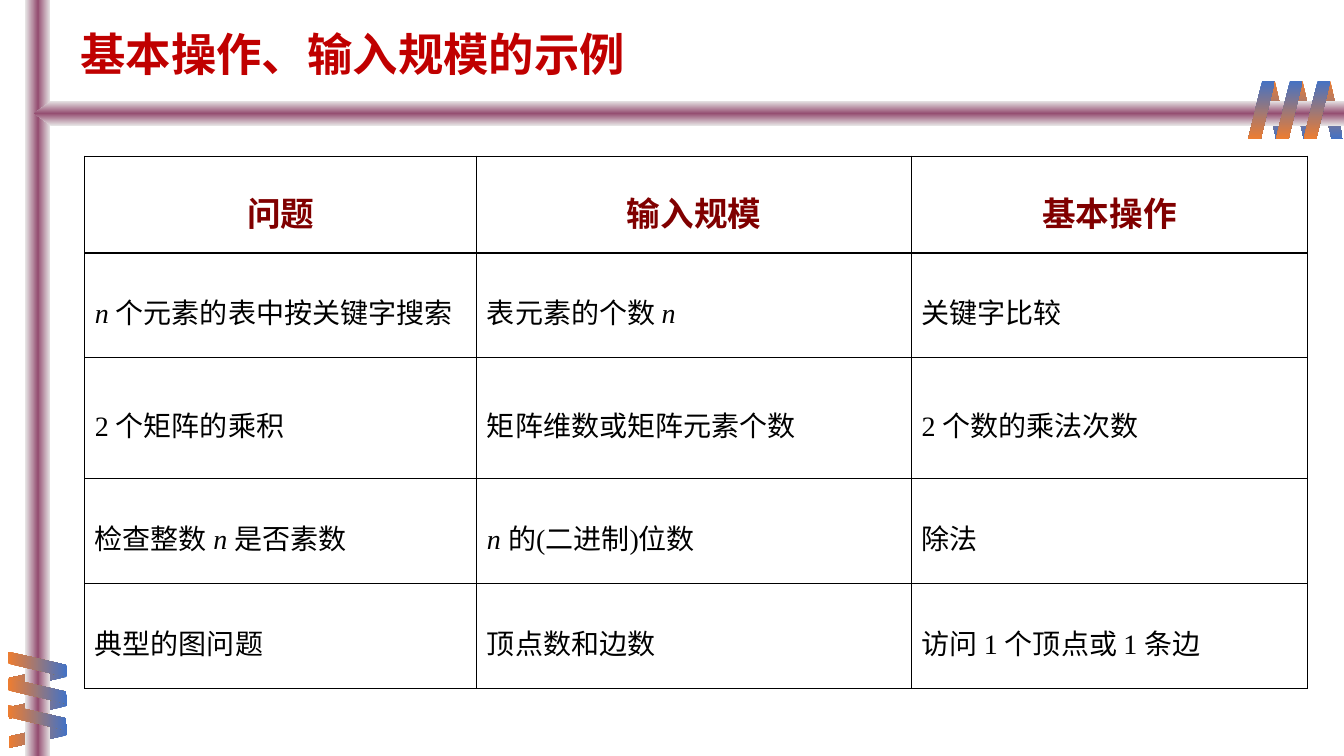
from dataclasses import dataclass

from lxml import etree
from pptx import Presentation
from pptx import util as u
from pptx.dml.color import RGBColor
from pptx.enum import shapes, text
from pptx.oxml import ns

COLORS = {
    "orange": "ED7D31", "blue": "4472C4", "gray": "E7E6E6", "plum": "954F72",
    "title": "C00000", "header": "800000", "body": "000000", "rule": "000000",
}
CJK, LATIN = "Noto Sans CJK SC", "Times New Roman"
GRID = 0.25  # side of a grid square in inches; the slide has 30 rows
COLUMNS, ROWS = 53.32, 30
SHAPE = shapes.MSO_SHAPE


@dataclass
class Bar:
    kind: int
    column: float
    row: float
    width: float
    height: float
    stops: tuple[str, ...]
    angle: int
    adjust: float | None = None
    rotation: int = 0
    flip: bool = False


@dataclass
class Ribbon:
    """Three slanted stripes at an equal pitch."""
    first: Bar
    column_step: float = 0
    row_step: float = 0


def slant(column, row, width, stops, angle, rotation=0, flip=False) -> Bar:
    return Bar(SHAPE.PARALLELOGRAM, column, row, width, 2.32, stops, angle,
               0.53, rotation, flip)


WARM, COOL = ("orange", "blue"), ("blue", "orange")
TUBE = ("gray", "plum", "gray")
BACK_RIBBONS = [
    Ribbon(slant(50.12, 3.2, 0.96, WARM, 90, 180, True), column_step=1.1),
    Ribbon(slant(1.02, 25.72, 0.96, COOL, 0, 90, True), row_step=1.16),
]
TUBES = [
    Bar(SHAPE.RECTANGLE, 1, 0, 1, ROWS, TUBE, 0),
    Bar(SHAPE.PENTAGON, 1.36, 4, 51.96, 1, TUBE, 90, 0.68, flip=True),
]
FRONT_RIBBONS = [
    Ribbon(slant(0.98, 25.2, 1, WARM, 0, 270), row_step=1.06),
    Ribbon(slant(49.52, 3.2, 1.06, COOL, 90), column_step=1.1),
]

# Asterisks enclose italic text
TABLE_ROWS = [
    ("问题", "输入规模", "基本操作"),
    ("*n *个元素的表中按关键字搜索", "表元素的个数 *n*", "关键字比较"),
    ("2 个矩阵的乘积", "矩阵维数或矩阵元素个数", "2 个数的乘法次数"),
    ("检查整数 *n *是否素数", "*n *的(二进制)位数", "除法"),
    ("典型的图问题", "顶点数和边数", "访问 1 个顶点或 1 条边"),
]
TABLE_WIDTHS = (15.56, 17.24, 15.72)
TABLE_HEIGHTS = (3.84, 4.16, 4.8, 4.16, 4.16)


def grid(count: float) -> int:
    return u.Inches(count * GRID)


def add_node(parent, tag: str, **attributes: str):
    node = etree.SubElement(parent, ns.qn(tag))
    for name, value in attributes.items():
        node.set(name, value)
    return node


def draw_bar(page, bar: Bar, column_shift: float = 0, row_shift: float = 0) -> None:
    shape = page.shapes.add_shape(
        bar.kind, grid(bar.column + column_shift), grid(bar.row + row_shift),
        grid(bar.width), grid(bar.height))
    shape.shadow.inherit = False
    shape.line.fill.background()
    shape.rotation = bar.rotation
    if bar.adjust is not None:
        shape.adjustments[0] = bar.adjust
    if bar.flip:
        shape.element.spPr.find(ns.qn("a:xfrm")).set("flipH", "1")

    # The gradient keeps its direction when the shape turns
    shape.fill.gradient()
    gradient = shape.element.spPr.find(ns.qn("a:gradFill"))
    gradient.clear()
    gradient.set("rotWithShape", "0")
    stop_list = add_node(gradient, "a:gsLst")
    for index, color in enumerate(bar.stops):
        place = 100000 * index // (len(bar.stops) - 1)
        stop = add_node(stop_list, "a:gs", pos=str(place))
        add_node(stop, "a:srgbClr", val=COLORS[color])
    add_node(gradient, "a:lin", ang=str(bar.angle * 60000), scaled="0")


def draw_ribbon(page, ribbon: Ribbon) -> None:
    for index in range(3):
        draw_bar(page, ribbon.first, index * ribbon.column_step, index * ribbon.row_step)


def write(frame, content: str, *, size: float, color: str, font: str = LATIN,
          bold: bool = False, spacing: float = 1.3,
          align=text.PP_ALIGN.LEFT) -> None:
    para = frame.paragraphs[0]
    para.alignment = align
    para.line_spacing = spacing
    for index, part in enumerate(content.split("*")):
        if not part:
            continue
        span = para.add_run()
        span.text = part
        span.font.size = u.Pt(size)
        span.font.bold = bold
        span.font.italic = index % 2 == 1
        span.font.color.rgb = RGBColor.from_string(COLORS[color])
        span.font.name = font
        add_node(span.font._element, "a:ea", typeface=CJK)


def outline(cell) -> None:
    properties = cell._tc.get_or_add_tcPr()
    for side in ("a:lnL", "a:lnR", "a:lnT", "a:lnB"):
        line = add_node(properties, side, w=str(u.Pt(1)))
        fill = add_node(line, "a:solidFill")
        add_node(fill, "a:srgbClr", val=COLORS["rule"])


def draw_title(page) -> None:
    box = page.shapes.add_textbox(grid(2.8), grid(1), grid(49.52), grid(2.48))
    box.text_frame.word_wrap = True
    box.text_frame.vertical_anchor = text.MSO_ANCHOR.MIDDLE
    write(box.text_frame, "基本操作、输入规模的示例", size=32.4, color="title",
          font=CJK, bold=True, spacing=0.9)


def draw_table(page) -> None:
    table = page.shapes.add_table(
        len(TABLE_HEIGHTS), len(TABLE_WIDTHS), grid(3.36), grid(6.2),
        grid(sum(TABLE_WIDTHS)), grid(sum(TABLE_HEIGHTS))).table
    table.first_row = table.horz_banding = False
    for column, width in zip(table.columns, TABLE_WIDTHS):
        column.width = grid(width)
    for row, height, contents in zip(table.rows, TABLE_HEIGHTS, TABLE_ROWS):
        row.height = grid(height)
        is_header = contents is TABLE_ROWS[0]
        for cell, content in zip(row.cells, contents):
            cell.vertical_anchor = text.MSO_ANCHOR.MIDDLE
            outline(cell)
            cell.fill.background()
            if is_header:
                write(cell.text_frame, content, size=24, color="header", bold=True,
                      align=text.PP_ALIGN.CENTER)
            else:
                write(cell.text_frame, content, size=20, color="body")


def main() -> None:
    deck = Presentation()
    deck.slide_width, deck.slide_height = grid(COLUMNS), grid(ROWS)
    page = deck.slides.add_slide(deck.slide_layouts[6])

    # Frame of tubes wound with ribbons
    for ribbon in BACK_RIBBONS:
        draw_ribbon(page, ribbon)
    for tube in TUBES:
        draw_bar(page, tube)
    for ribbon in FRONT_RIBBONS:
        draw_ribbon(page, ribbon)

    # Content
    draw_title(page)
    draw_table(page)
    deck.save("out.pptx")


if __name__ == "__main__":
    main()
